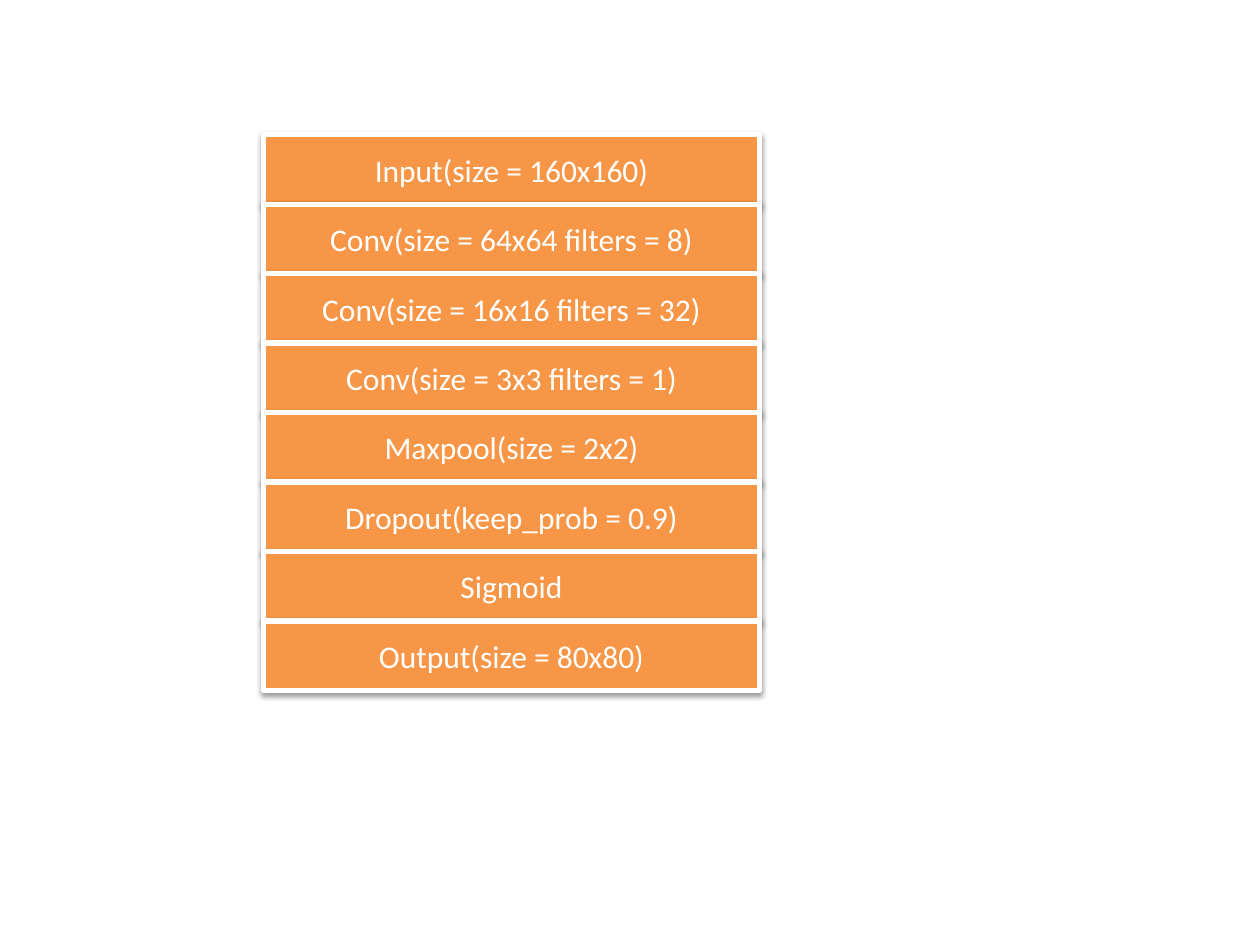
"""Build a slide showing the layers of a convolutional network as a stack."""
from dataclasses import dataclass

from lxml import etree
from pptx import Presentation
from pptx.dml.color import RGBColor
from pptx.enum.shapes import MSO_SHAPE
from pptx.enum.text import MSO_ANCHOR, PP_ALIGN
from pptx.oxml.ns import qn
from pptx.shapes.autoshape import Shape
from pptx.slide import Slide
from pptx.util import Inches, Pt

RECTANGLE = MSO_SHAPE.RECTANGLE
MIDDLE = MSO_ANCHOR.MIDDLE
CENTER = PP_ALIGN.CENTER

COLORS = {"layer": "F79646", "border": "FFFFFF", "label": "FFFFFF", "shadow": "000000"}
FONT = "Calibri"
LABELS = (
    "Input(size = 160x160)",
    "Conv(size = 64x64 filters = 8)",
    "Conv(size = 16x16 filters = 32)",
    "Conv(size = 3x3 filters = 1)",
    "Maxpool(size = 2x2)",
    "Dropout(keep_prob = 0.9)",
    "Sigmoid",
    "Output(size = 80x80)",
)
STACK_LEFT, STACK_WIDTH = 2.09, 3.94
STACK_TOP, STACK_BOTTOM = 1.07, 5.48


@dataclass(frozen=True)
class Layer:
    """A network layer with its vertical place in inches."""

    label: str
    top: float
    height: float


def color(name: str) -> RGBColor:
    """Return the named palette colour."""
    return RGBColor.from_string(COLORS[name])


def add_shadow(block: Shape) -> None:
    """Give a block a soft shadow that falls straight down."""
    block.shadow.inherit = False
    effects = block._element.spPr.find(qn("a:effectLst"))
    shadow = etree.SubElement(
        effects,
        qn("a:outerShdw"),
        blurRad=str(Pt(3.1)),
        dist=str(Pt(1.6)),
        dir="5400000",
        rotWithShape="0",
    )
    tint = etree.SubElement(shadow, qn("a:srgbClr"), val=COLORS["shadow"])
    etree.SubElement(tint, qn("a:alpha"), val="38000")


def draw_layer(slide: Slide, layer: Layer) -> None:
    """Draw one layer as a labelled block."""
    block = slide.shapes.add_shape(
        RECTANGLE,
        Inches(STACK_LEFT),
        Inches(layer.top),
        Inches(STACK_WIDTH),
        Inches(layer.height),
    )
    block.fill.solid()
    block.fill.fore_color.rgb = color("layer")
    block.line.color.rgb = color("border")
    block.line.width = Pt(3)
    add_shadow(block)

    frame = block.text_frame
    frame.word_wrap = True
    frame.vertical_anchor = MIDDLE
    paragraph = frame.paragraphs[0]
    paragraph.alignment = CENTER
    label = paragraph.add_run()
    label.text = layer.label
    label.font.name = FONT
    label.font.size = Pt(18)
    label.font.color.rgb = color("label")


def main() -> None:
    """Create and save the presentation."""
    deck = Presentation()
    deck.slide_width = Inches(10)
    deck.slide_height = Inches(7.5)
    slide = deck.slides.add_slide(deck.slide_layouts[6])
    height = (STACK_BOTTOM - STACK_TOP) / len(LABELS)
    for index, label in enumerate(LABELS):
        draw_layer(slide, Layer(label, STACK_TOP + index * height, height))
    deck.save("out.pptx")


if __name__ == "__main__":
    main()
